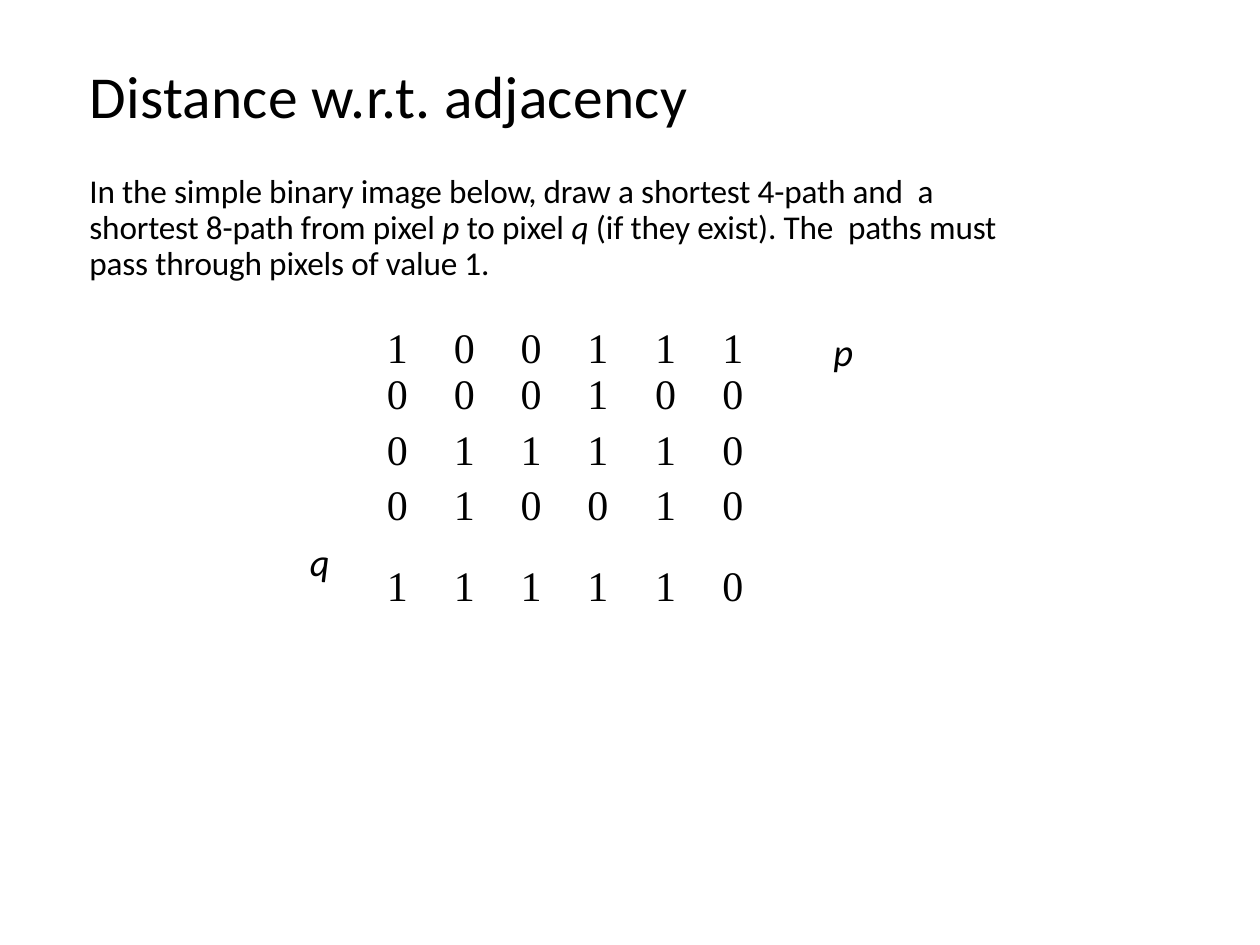
from dataclasses import dataclass

from pptx import Presentation
from pptx.dml.color import RGBColor
from pptx.enum.text import MSO_ANCHOR, MSO_AUTO_SIZE, PP_ALIGN
from pptx.oxml.ns import qn
from pptx.util import Inches, Pt


@dataclass(frozen=True)
class Theme:
    ink = RGBColor(0, 0, 0)
    sans = "Calibri"
    serif = "Times New Roman"
    title = Pt(34)
    body = Pt(19)
    label = Pt(22)
    digit = Pt(24)


def format_paragraph(paragraph, size, face=Theme.sans, align=PP_ALIGN.LEFT,
                     left=0.01, right=0, spacing=0, italic=None):
    """Set indents, alignment and font; spacing is in hundredths of a point."""
    props = paragraph._p.get_or_add_pPr()
    props.set("marL", str(Inches(left)))
    props.set("marR", str(Inches(right)))
    props.set("indent", "0")
    props.get_or_add_defRPr().addprevious(props.makeelement(qn("a:buNone"), {}))
    paragraph.alignment = align
    paragraph.space_before = Pt(0)
    font = paragraph.font
    font.name, font.size, font.italic = face, size, italic
    font.color.rgb = Theme.ink
    for run in paragraph.runs:
        run._r.get_or_add_rPr().set("spc", str(spacing))


def place(shape, left, top, width, height, inset_top):
    shape.left, shape.top = Inches(left), Inches(top)
    shape.width, shape.height = Inches(width), Inches(height)
    frame = shape.text_frame
    frame.margin_left = frame.margin_right = frame.margin_bottom = 0
    frame.margin_top = Inches(inset_top)
    frame.vertical_anchor = MSO_ANCHOR.TOP
    frame.word_wrap = True
    frame.auto_size = MSO_AUTO_SIZE.SHAPE_TO_FIT_TEXT
    return frame


prs = Presentation()
prs.slide_width, prs.slide_height = Inches(10), Inches(7.5)
slide = prs.slides.add_slide(prs.slide_layouts[1])

# Title
heading = place(slide.shapes.title, 0.7, 0.46, 5.47, 0.59, 0.01)
heading.text = "Distance w.r.t. adjacency"
format_paragraph(heading.paragraphs[0], Theme.title, spacing=20)

# Exercise text, with the label of pixel p below it
exercise = place(slide.placeholders[1], 0.7, 1.35, 7.54, 1.63, 0.04)
task = exercise.paragraphs[0]
for words, italic in (
    ("In the simple binary image below, draw a shortest 4-path and  a "
     "shortest 8-path from pixel ", False),
    ("p ", True),
    ("to pixel ", False),
    ("q ", True),
    ("(if they exist). The  paths must pass through pixels of value 1.", False),
):
    run = task.add_run()
    run.text = words
    run.font.italic = italic
format_paragraph(task, Theme.body, right=0.22, spacing=-8)
task.line_spacing = 0.9

p_label = exercise.add_paragraph()
p_label.text = "p"
format_paragraph(p_label, Theme.label, align=PP_ALIGN.RIGHT, right=1.47, italic=True)
p_label.space_before = Pt(26)

# Binary image
pixels = ("100111", "000100", "011110", "010010", "111110")
column_widths = (0.39, 0.53, 0.53, 0.53, 0.53, 0.39)
row_heights = (0.4, 0.44, 0.44, 0.44, 0.4)
line_heights = (Pt(37.8), None, None, None, Pt(41))
column_layout = (
    [(PP_ALIGN.LEFT, 0.04, 0)]
    + [(PP_ALIGN.CENTER, 0, 0)] * 3
    + [(PP_ALIGN.LEFT, 0.19, 0), (PP_ALIGN.RIGHT, 0, 0.03)]
)
image = slide.shapes.add_table(
    len(pixels), len(column_widths), Inches(3.03), Inches(2.43),
    Inches(sum(column_widths)), Inches(sum(row_heights))).table
image.first_row = image.horz_banding = False
for column, width in zip(image.columns, column_widths):
    column.width = Inches(width)
for row, height, digits, line_height in zip(image.rows, row_heights, pixels, line_heights):
    row.height = Inches(height)
    for cell, digit, (align, left, right) in zip(row.cells, digits, column_layout):
        cell.fill.background()
        cell.margin_left = cell.margin_right = cell.margin_top = cell.margin_bottom = 0
        cell.text = digit
        value = cell.text_frame.paragraphs[0]
        format_paragraph(value, Theme.digit, Theme.serif, align, left, right)
        value.line_spacing = line_height

# Label of pixel q
q_box = slide.shapes.add_textbox(0, 0, 0, 0)
q_label = place(q_box, 2.45, 4.25, 0.21, 0.38, 0.02).paragraphs[0]
q_label.text = "q"
format_paragraph(q_label, Theme.label, italic=True)

prs.save("out.pptx")
